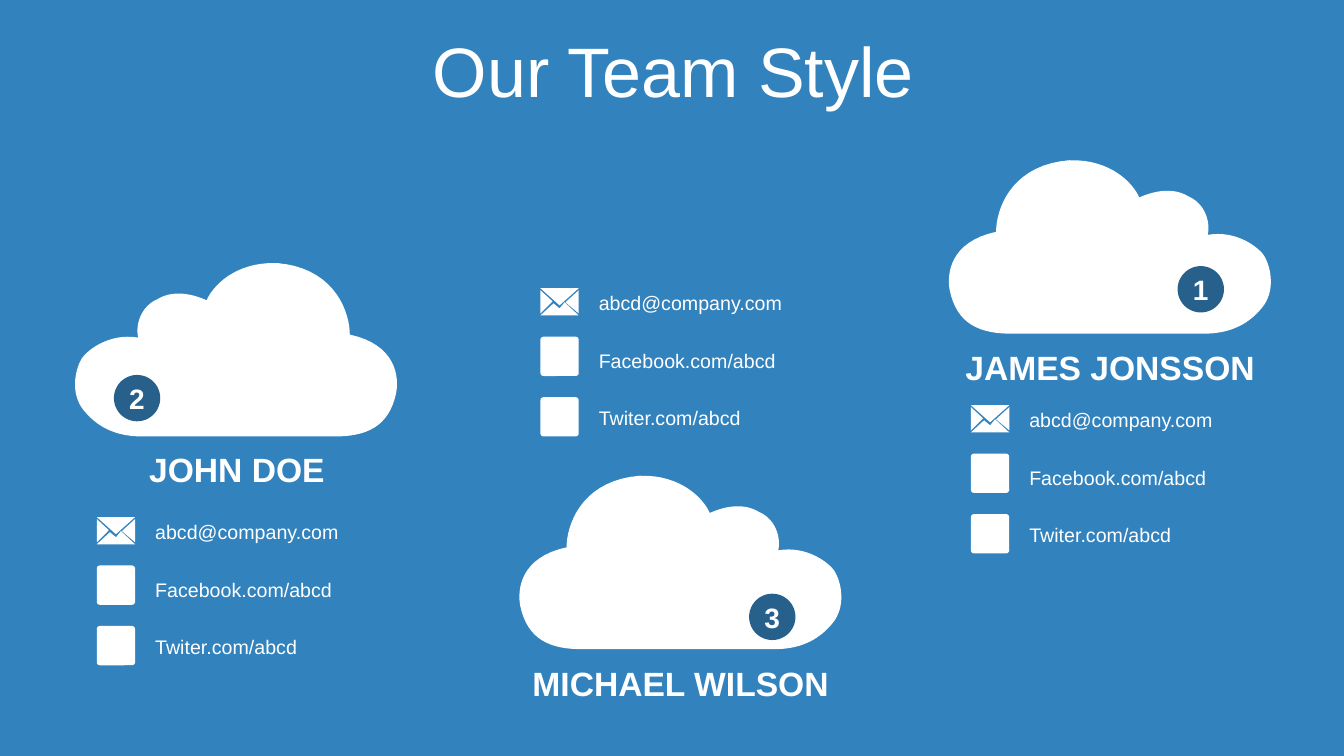
import pptx
import pptx.dml.color
import pptx.enum.shapes
import pptx.enum.text
import pptx.util

Inches, Pt = pptx.util.Inches, pptx.util.Pt
SHAPE = pptx.enum.shapes.MSO_SHAPE
ALIGN = pptx.enum.text.PP_ALIGN
MIDDLE = pptx.enum.text.MSO_ANCHOR.MIDDLE
WHITE, SKY, NAVY = "FFFFFF", "3282BE", "28608C"


def paint(fill, color):
    fill.solid()
    fill.fore_color.rgb = pptx.dml.color.RGBColor.from_string(color)


def write(sp, text, size, bold=False, align=ALIGN.CENTER):
    tf = sp.text_frame
    tf.word_wrap = True
    tf.auto_size = pptx.enum.text.MSO_AUTO_SIZE.NONE
    p = tf.paragraphs[0]
    p.text = text
    p.alignment = align
    p.space_before = Pt(0)
    p.font.name, p.font.size, p.font.bold = "Arial", Pt(size), bold
    paint(p.font.fill, WHITE)
    return p


# Cloud outline in inches: each row has two control points and an end point.
CLOUD_WIDTH = 3.19
CLOUD_START = (1.2, 0)
CLOUD_CURVES = [
    [(1.61, -0.01), (1.83, 0.23), (1.89, 0.37)],
    [(2.02, 0.31), (2.22, 0.26), (2.38, 0.36)],
    [(2.52, 0.42), (2.6, 0.58), (2.57, 0.74)],
    [(2.86, 0.69), (3.08, 0.87), (3.13, 0.95)],
    [(3.2, 1.07), (3.24, 1.3), (3.11, 1.46)],
    [(2.98, 1.62), (2.81, 1.71), (2.57, 1.72)],
    [(2.57, 1.72), (0.66, 1.72), (0.66, 1.72)],
    [(0.3, 1.73), (0.08, 1.62), (0.01, 1.29)],
    [(-0.02, 1.13), (0.01, 0.81), (0.47, 0.71)],
    [(0.47, 0.49), (0.61, 0.09), (1.11, 0.01)],
    [(1.14, 0.01), (1.17, 0), (1.2, 0)],
]
STEPS = 16
cloud = [CLOUD_START]
for c1, c2, end in CLOUD_CURVES:
    start = cloud[-1]
    for i in range(1, STEPS + 1):
        t = i / STEPS
        cloud.append(tuple(
            (1 - t) ** 3 * a + 3 * t * (1 - t) ** 2 * b + 3 * t * t * (1 - t) * c + t ** 3 * d
            for a, b, c, d in zip(start, c1, c2, end)))

ENVELOPE = [
    [(0, 0), (0.38, 0), (0.19, 0.17)],
    [(0, 0.02), (0.12, 0.13), (0, 0.25)],
    [(0.38, 0.02), (0.38, 0.25), (0.25, 0.14), (0.27, 0.12)],
    [(0.24, 0.14), (0.38, 0.27), (0, 0.27), (0.13, 0.15), (0.19, 0.2)],
]
CONTACTS = ["abcd@company.com", "Facebook.com/abcd", "Twiter.com/abcd"]
CONTACT_PITCH = 0.57

# number, name, cloud corner, mirrored, badge offset, name offset, line spacing, contacts corner
TEAM = [
    ("1", "JAMES JONSSON", (9.41, 1.59), False, (2.27, 1.05), 1.81, Pt(30), (9.63, 4)),
    ("2", "JOHN DOE", (0.75, 2.61), True, (0.38, 1.11), 1.83, 0.9, (0.96, 5.11)),
    ("3", "MICHAEL WILSON", (5.15, 4.72), False, (2.28, 1.17), 1.85, 0.9, (5.36, 2.84)),
]

prs = pptx.Presentation()
prs.slide_width, prs.slide_height = Inches(13.33), Inches(7.5)
s = prs.slides.add_slide(prs.slide_layouts[5])
paint(s.background.fill, SKY)

title = s.shapes.title
title.left, title.top = Inches(0.35), Inches(0.37)
title.width, title.height = Inches(12.66), Inches(0.79)
title.text_frame.vertical_anchor = MIDDLE
write(title, "Our Team Style", 50).line_spacing = 0.8

for number, name, (x, y), mirrored, (bx, by), name_dy, spacing, (cx, cy) in TEAM:
    outline = [(Inches(x + (CLOUD_WIDTH - px if mirrored else px)), Inches(y + py))
               for px, py in cloud]
    fb = s.shapes.build_freeform(*outline[0])
    fb.add_line_segments(outline[1:])
    sp = fb.convert_to_shape()
    sp.shadow.inherit = False
    paint(sp.fill, WHITE)
    sp.line.fill.background()

    badge = s.shapes.add_shape(SHAPE.OVAL, Inches(x + bx), Inches(y + by),
                               Inches(0.46), Inches(0.46))
    badge.shadow.inherit = False
    paint(badge.fill, NAVY)
    badge.line.fill.background()
    tf = badge.text_frame
    tf.margin_left = tf.margin_right = tf.margin_top = tf.margin_bottom = 0
    tf.vertical_anchor = MIDDLE
    write(badge, number, 20, bold=True)

    label = s.shapes.add_textbox(Inches(x - 0.09), Inches(y + name_dy),
                                 Inches(3.38), Inches(0.47))
    label.text_frame.vertical_anchor = MIDDLE
    write(label, name, 24, bold=True).line_spacing = spacing

    contacts = s.shapes.add_group_shape().shapes
    fb = contacts.build_freeform(Inches(cx), Inches(cy + 0.02))
    for flap in ENVELOPE:
        points = [(Inches(cx + px), Inches(cy + 0.02 + py)) for px, py in flap]
        fb.move_to(*points[0])
        fb.add_line_segments(points[1:])
    icons = [fb.convert_to_shape()]
    for dy in (0.5, 1.1):
        square = contacts.add_shape(SHAPE.ROUNDED_RECTANGLE, Inches(cx), Inches(cy + dy),
                                    Inches(0.38), Inches(0.39))
        square.adjustments[0] = 0.08
        icons.append(square)
    for icon in icons:
        icon.shadow.inherit = False
        paint(icon.fill, WHITE)
        icon.line.fill.background()
    for row, address in enumerate(CONTACTS):
        box = contacts.add_textbox(Inches(cx + 0.48), Inches(cy + row * CONTACT_PITCH),
                                   Inches(2.29), Inches(0.34))
        write(box, address, 14, align=ALIGN.LEFT)

prs.save("out.pptx")
